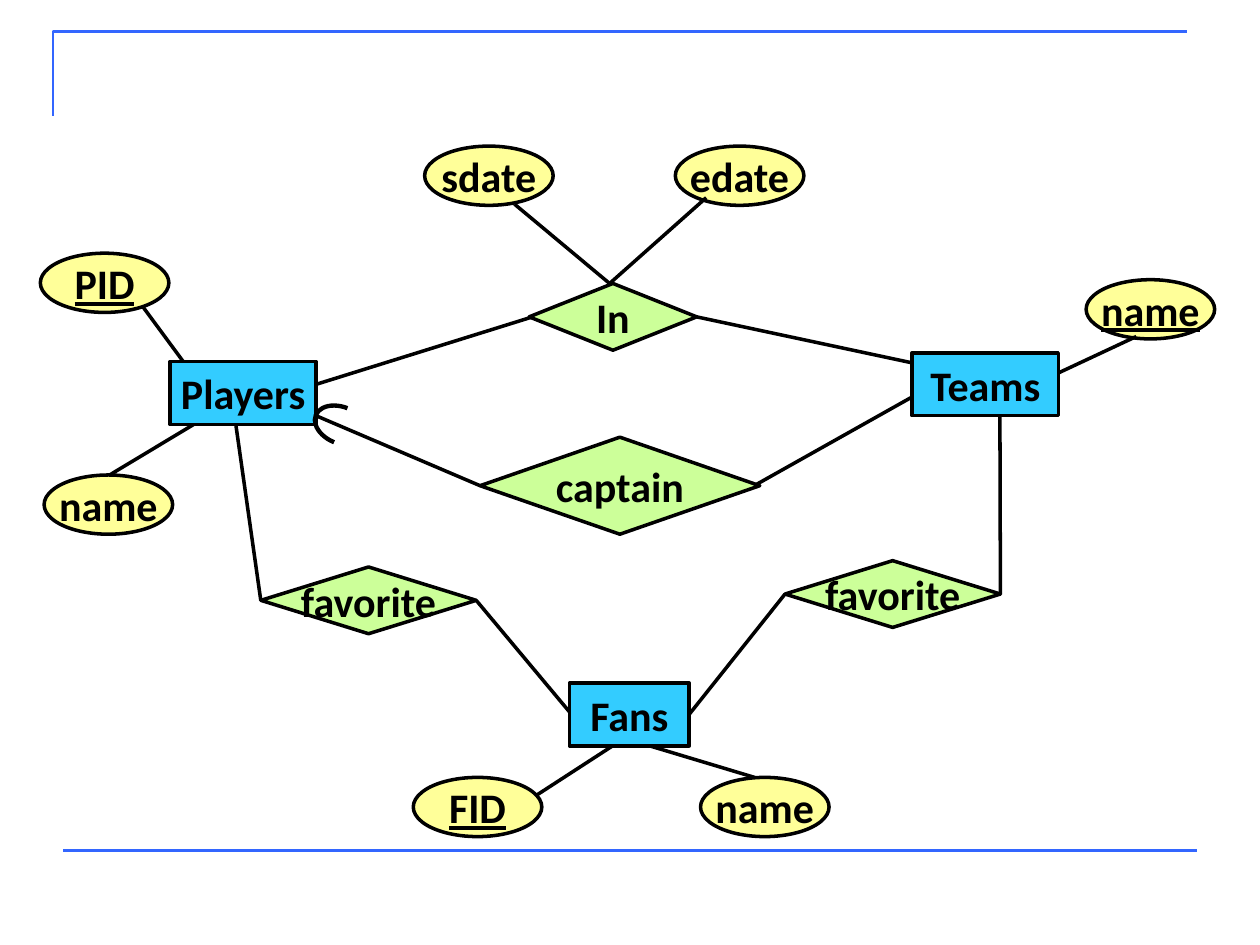
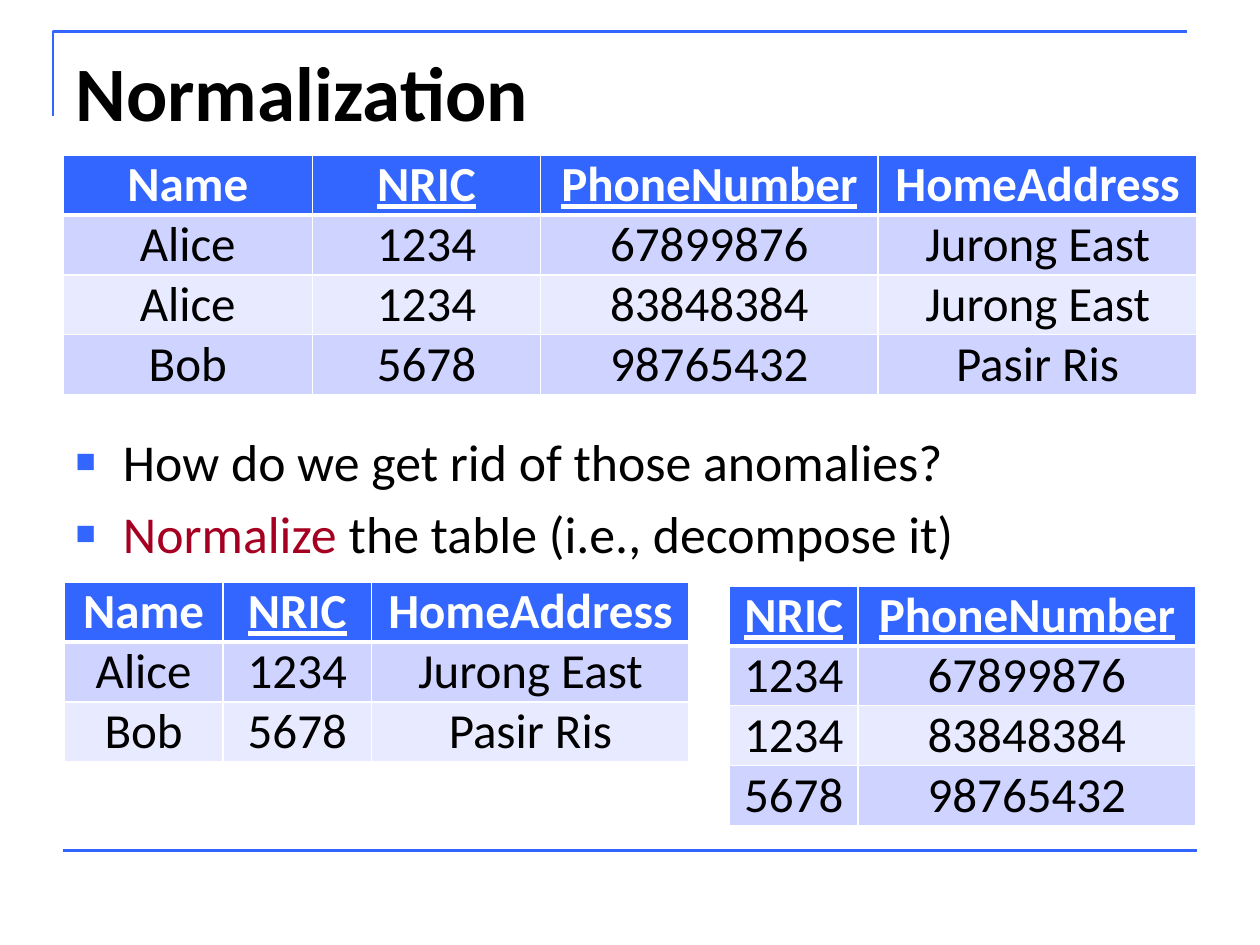
import dataclasses

import pptx
import pptx.dml.color
import pptx.enum.shapes
import pptx.enum.text
import pptx.oxml.ns
import pptx.util
from lxml import etree

Inches, Pt = pptx.util.Inches, pptx.util.Pt
SHAPE = pptx.enum.shapes.MSO_SHAPE
MIDDLE = pptx.enum.text.MSO_ANCHOR.MIDDLE
CENTER = pptx.enum.text.PP_ALIGN.CENTER
TITLE_AND_CONTENT, BLANK = 1, 6


@dataclasses.dataclass(frozen=True)
class Theme:
    font: str = "Calibri"
    ink: str = "000000"
    paper: str = "FFFFFF"
    accent: str = "3366FF"
    emphasis: str = "A50021"
    entity: str = "33CCFF"
    relationship: str = "CCFF99"
    attribute: str = "FFFF99"
    bands: tuple = ("CED3FF", "E8EAFF")
    title_size: float = 44
    body_size: float = 29.6
    table_size: float = 28
    diagram_size: float = 24
    frame_width: float = 1.5
    diagram_width: float = 2
    arc_width: float = 2.5


THEME = Theme()

# Positions are relative to the diagram box: kind, label, left, top, width, height
OVAL = (1.02, 0.47)
BOX = (1.16, 0.5)
FAVORITE = (1.71, 0.53)
NODES = {
    "players": ("entity", "Players", 1.03, 1.71, *BOX),
    "teams": ("entity", "Teams", 6.92, 1.64, *BOX),
    "fans": ("entity", "Fans", 4.2, 4.26, 0.95, 0.5),
    "in": ("relationship", "In", 3.88, 1.09, 1.33, 0.53),
    "captain": ("relationship", "captain", 3.49, 2.31, 2.22, 0.77),
    "favorite player": ("relationship", "favorite", 1.75, 3.34, *FAVORITE),
    "favorite team": ("relationship", "favorite", 5.91, 3.29, *FAVORITE),
    "start": ("attribute", "sdate", 3.05, 0, *OVAL),
    "end": ("attribute", "edate", 5.04, 0, *OVAL),
    "player id": ("attribute", "PID", 0, 0.85, *OVAL),
    "player name": ("attribute", "name", 0.03, 2.61, *OVAL),
    "team name": ("attribute", "name", 8.3, 1.06, *OVAL),
    "fan id": ("attribute", "FID", 2.96, 5.01, *OVAL),
    "fan name": ("attribute", "name", 5.24, 5.01, *OVAL),
}
KEY_NODES = {"player id", "team name", "fan id"}
NODE_SHAPES = {
    "entity": SHAPE.RECTANGLE,
    "relationship": SHAPE.DIAMOND,
    "attribute": SHAPE.OVAL,
}
# Each end is a node and a point in it, as fractions of its width and height
LINKS = [
    (("fan id", 0.96, 0.3), ("fans", 0.36, 1)),
    (("fans", 0.67, 1), ("fan name", 0.42, 0)),
    (("favorite player", 1, 0.5), ("fans", 0, 0.46)),
    (("favorite team", 0, 0.5), ("fans", 1, 0.5)),
    (("players", 0.45, 1), ("favorite player", 0, 0.5)),
    (("teams", 0.6, 1), ("favorite team", 1, 0.5)),
    (("teams", 1, 0.32), ("team name", 0.39, 0.96)),
    (("player id", 0.8, 0.91), ("players", 0.09, 0)),
    (("players", 0.16, 1), ("player name", 0.51, 0)),
    (("players", 1, 0.36), ("in", 0.02, 0.5)),
    (("in", 1, 0.5), ("teams", 0, 0.16)),
    (("players", 1, 0.86), ("captain", 0, 0.5)),
    (("captain", 0.98, 0.5), ("teams", 0, 0.7)),
    (("start", 0.7, 0.98), ("in", 0.48, 0)),
    (("end", 0.24, 0.87), ("in", 0.48, 0)),
]

KEY_COLUMNS = {"NRIC", "PhoneNumber"}
CONTACTS = [
    ("Name", "NRIC", "PhoneNumber", "HomeAddress"),
    ("Alice", "1234", "67899876", "Jurong East"),
    ("Alice", "1234", "83848384", "Jurong East"),
    ("Bob", "5678", "98765432", "Pasir Ris"),
]
ROW_HEIGHT = 0.47


def project(rows, *columns):
    """Keep the named columns and drop repeated rows."""
    picks = [rows[0].index(column) for column in columns]
    return list(dict.fromkeys(tuple(row[i] for i in picks) for row in rows))


def rgb(color):
    return pptx.dml.color.RGBColor.from_string(color)


def set_all(target, values):
    for name, value in values.items():
        setattr(target, name, value)


def add_run(paragraph, text, size, color=THEME.ink, **font_format):
    run = paragraph.add_run()
    run.text = text
    set_all(run.font, {"name": THEME.font, "size": Pt(size), **font_format})
    run.font.color.rgb = rgb(color)


def outline(part, color, width):
    part.line.color.rgb = rgb(color)
    part.line.width = Pt(width)


def add_line(slide, start, end, color, width):
    line = slide.shapes.add_connector(
        pptx.enum.shapes.MSO_CONNECTOR.STRAIGHT, *map(Inches, (*start, *end)))
    outline(line, color, width)
    etree.SubElement(line.element.spPr, pptx.oxml.ns.qn("a:effectLst"))
    return line


def add_master_frame(deck, slide):
    """Draw the corner and the footer rule, then move them to the master."""
    builder = slide.shapes.build_freeform(Inches(0.42), Inches(0.92))
    builder.add_line_segments(
        [(Inches(0.42), Inches(0.25)), (Inches(9.42), Inches(0.25))], close=False)
    corner = builder.convert_to_shape()
    corner.shadow.inherit = False
    corner.fill.background()
    outline(corner, THEME.accent, THEME.frame_width)
    footer_rule = add_line(slide, (0.5, 6.75), (9.5, 6.75), THEME.accent, THEME.frame_width)
    tree = deck.slide_master.element.cSld.spTree
    for number, part in enumerate((corner, footer_rule), start=101):
        part.element.xpath("./*/p:cNvPr")[0].set("id", str(number))
        tree.append(part.element)


def add_node(slide, kind, label, box, is_key):
    node = slide.shapes.add_shape(NODE_SHAPES[kind], *map(Inches, box))
    node.shadow.inherit = False
    node.fill.solid()
    node.fill.fore_color.rgb = rgb(getattr(THEME, kind))
    outline(node, THEME.ink, THEME.diagram_width)
    set_all(node.text_frame, {
        "word_wrap": False, "vertical_anchor": MIDDLE,
        "margin_left": 0, "margin_right": 0, "margin_top": 0, "margin_bottom": 0})
    paragraph = node.text_frame.paragraphs[0]
    paragraph.alignment = CENTER
    add_run(paragraph, label, THEME.diagram_size, bold=True, underline=is_key)


def add_captain_arc(slide, left, top):
    """Rounded arrowhead where the captain link meets Players."""
    arc = slide.shapes.add_shape(
        SHAPE.ARC, *map(Inches, (left + 2.17, top + 2.07, 0.43, 0.29)))
    arc.shadow.inherit = False
    arc.adjustments[0], arc.adjustments[1] = 162, 53.46
    arc.rotation = 201.9
    arc.fill.background()
    outline(arc, THEME.ink, THEME.arc_width)


def add_er_diagram(slide, left, top):
    boxes = {}
    for key, (kind, label, x, y, width, height) in NODES.items():
        boxes[key] = (left + x, top + y, width, height)
        add_node(slide, kind, label, boxes[key], key in KEY_NODES)

    def point(key, across, down):
        x, y, width, height = boxes[key]
        return x + across * width, y + down * height

    for start, end in LINKS:
        add_line(slide, point(*start), point(*end), THEME.ink, THEME.diagram_width)
    add_captain_arc(slide, left, top)


def add_cell_borders(cell, widths):
    properties = cell._tc.get_or_add_tcPr()
    for side, width in widths.items():
        border = etree.SubElement(
            properties, pptx.oxml.ns.qn(f"a:ln{side}"), w=str(Pt(width)))
        fill = etree.SubElement(border, pptx.oxml.ns.qn("a:solidFill"))
        etree.SubElement(fill, pptx.oxml.ns.qn("a:srgbClr"), val=THEME.paper)


def add_relation(slide, left, top, column_widths, rows):
    """Table with a header row whose key columns are underlined."""
    table = slide.shapes.add_table(
        len(rows), len(rows[0]), Inches(left), Inches(top),
        Inches(sum(column_widths)), Inches(ROW_HEIGHT * len(rows))).table
    table.horz_banding = False
    for column, width in zip(table.columns, column_widths):
        column.width = Inches(width)
    for r, row in enumerate(rows):
        header = r == 0
        for c, value in enumerate(row):
            cell = table.cell(r, c)
            set_all(cell, {"margin_left": Inches(0.1), "margin_right": Inches(0.1),
                           "margin_top": 0, "margin_bottom": 0})
            add_cell_borders(cell, {"L": 1, "R": 1, "T": 3 if r == 1 else 1,
                                    "B": 3 if header else 1})
            cell.fill.solid()
            cell.fill.fore_color.rgb = rgb(
                THEME.accent if header else THEME.bands[(r - 1) % 2])
            paragraph = cell.text_frame.paragraphs[0]
            paragraph.alignment = CENTER
            add_run(paragraph, value, THEME.table_size,
                    THEME.paper if header else THEME.ink, bold=header,
                    underline=header and value in KEY_COLUMNS)


def place(placeholder, left, top, width, height):
    set_all(placeholder, {"left": Inches(left), "top": Inches(top),
                          "width": Inches(width), "height": Inches(height)})
    set_all(placeholder.text_frame, {
        "word_wrap": True, "vertical_anchor": pptx.enum.text.MSO_ANCHOR.TOP,
        "auto_size": pptx.enum.text.MSO_AUTO_SIZE.NONE})
    return placeholder.text_frame


def add_title(slide, text, box):
    paragraph = place(slide.shapes.title, *box).paragraphs[0]
    paragraph.alignment = pptx.enum.text.PP_ALIGN.LEFT
    add_run(paragraph, text, THEME.title_size, bold=True)


def add_square_bullet(paragraph):
    properties = paragraph._p.get_or_add_pPr()
    color = etree.SubElement(properties, pptx.oxml.ns.qn("a:buClr"))
    etree.SubElement(color, pptx.oxml.ns.qn("a:srgbClr"), val=THEME.accent)
    for tag, values in (("a:buSzPct", {"val": "65000"}),
                        ("a:buFont", {"typeface": "Arial"}),
                        ("a:buChar", {"char": "■"})):
        etree.SubElement(properties, pptx.oxml.ns.qn(tag), values)


def add_bullets(slide, items, box):
    """Each item is a list of (text, colour) pieces."""
    frame = place(slide.placeholders[1], *box)
    for i, pieces in enumerate(items):
        paragraph = frame.add_paragraph() if i else frame.paragraphs[0]
        add_square_bullet(paragraph)
        for text, color in pieces:
            add_run(paragraph, text, THEME.body_size, color)


def build_normalization_slide(slide):
    add_title(slide, "Normalization", (0.5, 0.3, 9, 1.25))
    add_bullets(slide, [
        [("How do we get rid of those anomalies?", THEME.ink)],
        [("Normalize", THEME.emphasis), (" the table (i.e., decompose it)", THEME.ink)],
    ], (0.5, 3.36, 9.22, 1.02))
    add_relation(slide, 0.5, 1.23, (1.98, 1.81, 2.68, 2.53), CONTACTS)
    add_relation(slide, 0.51, 4.62, (1.26, 1.18, 2.52),
                 project(CONTACTS, "Name", "NRIC", "HomeAddress"))
    add_relation(slide, 5.79, 4.65, (1.02, 2.68),
                 project(CONTACTS, "NRIC", "PhoneNumber"))


def main():
    deck = pptx.Presentation()
    deck.slide_width, deck.slide_height = Inches(10), Inches(7.5)
    layouts = deck.slide_layouts
    diagram_slide = deck.slides.add_slide(layouts[BLANK])
    add_master_frame(deck, diagram_slide)
    add_er_diagram(diagram_slide, 0.32, 1.16)
    build_normalization_slide(deck.slides.add_slide(layouts[TITLE_AND_CONTENT]))
    deck.save("out.pptx")


if __name__ == "__main__":
    main()
